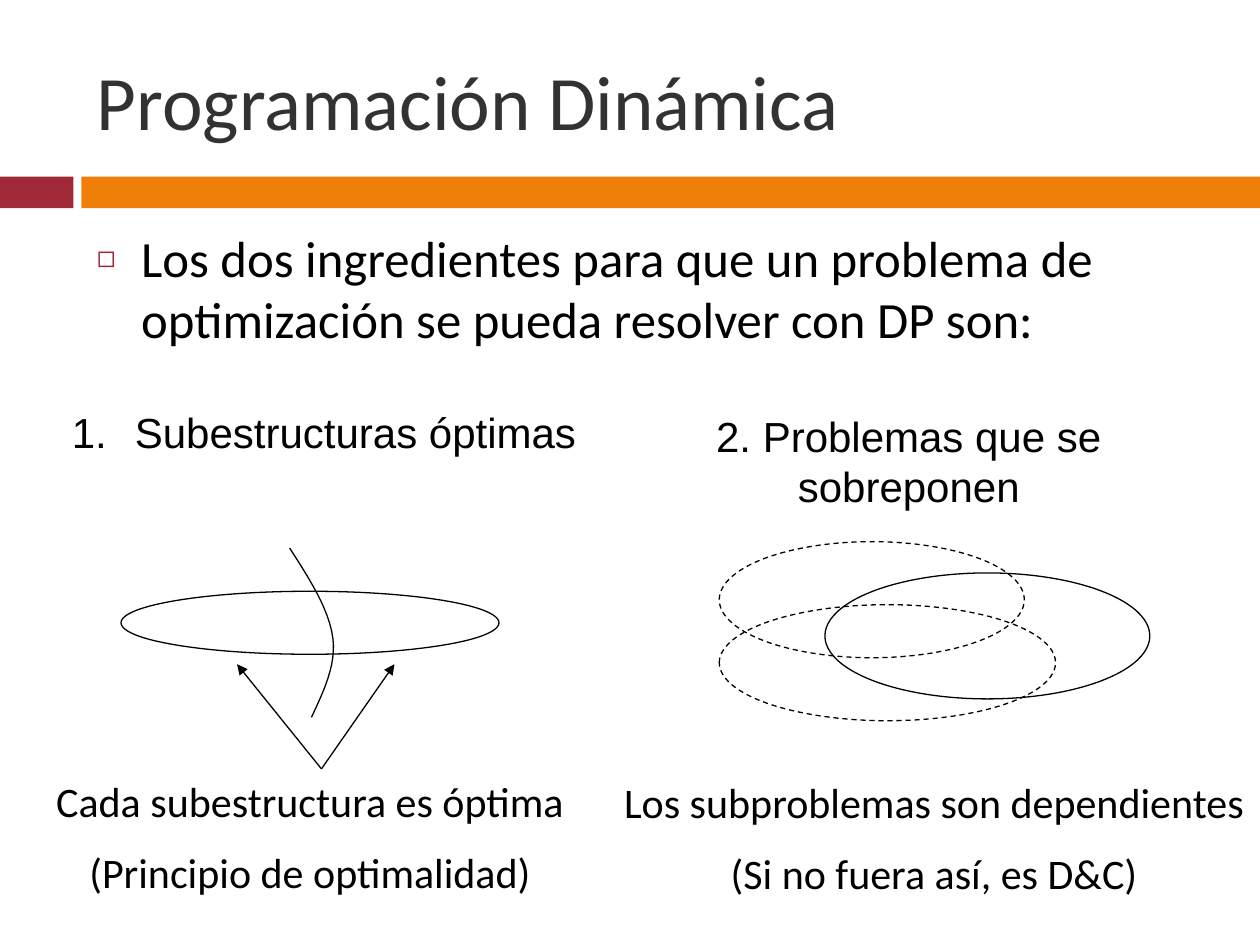
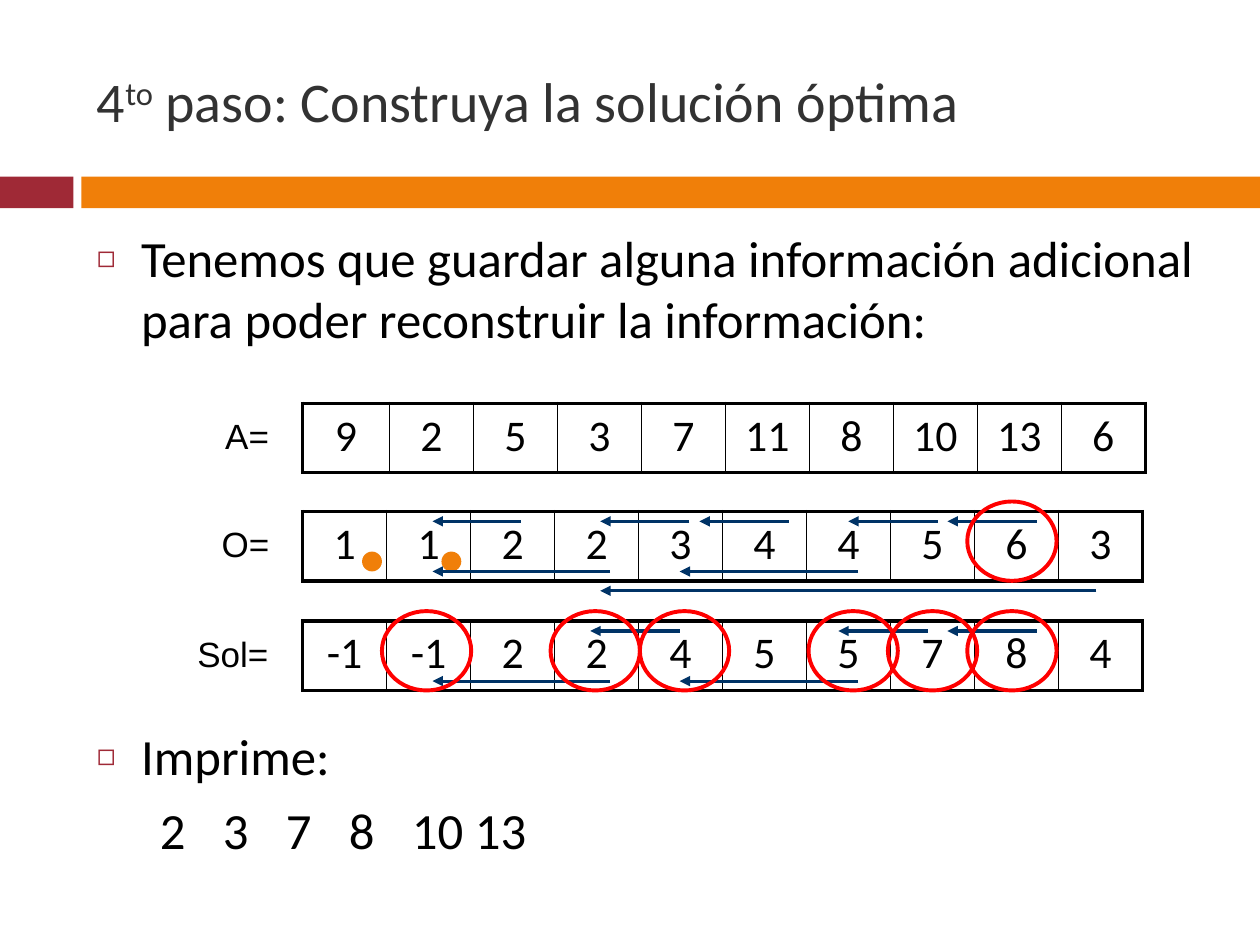
from lxml import etree
from pptx import Presentation
from pptx.dml.color import RGBColor
from pptx.enum.dml import MSO_LINE
from pptx.enum.shapes import MSO_CONNECTOR, MSO_SHAPE
from pptx.enum.text import MSO_ANCHOR, MSO_AUTO_SIZE, PP_ALIGN
from pptx.oxml.ns import qn
from pptx.util import Cm, Pt

BLACK, GREY, WHITE = "000000", "323232", "FFFFFF"
MAROON, ORANGE, NAVY, RED = "9F2936", "F07F09", "003366", "FF0000"
BODY_FONT, LABEL_FONT = "Calibri", "Arial"
SLIDE_W, SLIDE_H = 25.4, 19.05
TITLE_BOX = (1.7, 0.64, 22.66, 2.74)
BODY_BOX = (1.7, 4.45, 22.66, 12.5)
BANDS = [((0, 3.56, 1.48, 0.64), MAROON), ((1.64, 3.56, 23.76, 0.64), ORANGE)]
BULLET_INDENT = 0.89
OUTER, INNER = 2.25, 1


def rgb(color):
    return RGBColor.from_string(color)


def cms(*values):
    return [Cm(v) for v in values]


def sub(parent, tag, **attrs):
    """Append a DrawingML element to parent."""
    return etree.SubElement(parent, qn(tag), {k: str(v) for k, v in attrs.items()})


def format_text(p, size, font=BODY_FONT, color=BLACK, align=None, before=None):
    p.alignment = align
    if before is not None:
        p.space_before = Pt(before)
    for r in p.runs:
        r.font.size, r.font.name = Pt(size), font
        r.font.color.rgb = rgb(color)


def set_indent(p, left, first):
    pPr = p._p.get_or_add_pPr()
    pPr.set("marL", str(Cm(left)))
    pPr.set("indent", str(Cm(first)))
    return pPr


def add_square_bullet(p):
    pPr = set_indent(p, BULLET_INDENT, -BULLET_INDENT)
    sub(sub(pPr, "a:buClr"), "a:srgbClr", val=MAROON)
    sub(pPr, "a:buSzPct", val=60000)
    sub(pPr, "a:buChar", char="◻")


def add_number(p, indent):
    pPr = set_indent(p, indent, -indent)
    sub(pPr, "a:buFont", typeface=LABEL_FONT)
    sub(pPr, "a:buAutoNum", type="arabicPeriod")


def add_tabs(p, stops):
    """Lay the paragraph out on left tab stops, without a bullet."""
    pPr = set_indent(p, 0, 0)
    sub(pPr, "a:buNone")
    tabs = sub(pPr, "a:tabLst")
    for stop in stops:
        sub(tabs, "a:tab", pos=Cm(stop), algn="l")


def add_text(s, box, paragraphs, size, font=BODY_FONT, align=None, wrap=True):
    tf = s.shapes.add_textbox(*cms(*box)).text_frame
    tf.word_wrap = wrap
    tf.text = "\n".join(paragraphs)
    for p in tf.paragraphs:
        format_text(p, size, font, align=align, before=size / 2)
    return tf


def style_shape(sp, fill=None, line=None, width=0.75, dash=False):
    sp.shadow.inherit = False
    if fill:
        sp.fill.solid()
        sp.fill.fore_color.rgb = rgb(fill)
    else:
        sp.fill.background()
    if line:
        sp.line.color.rgb = rgb(line)
        sp.line.width = Pt(width)
        if dash:
            sp.line.dash_style = MSO_LINE.DASH
    else:
        sp.line.fill.background()


def add_ellipse(s, box, **style):
    style_shape(s.shapes.add_shape(MSO_SHAPE.OVAL, *cms(*box)), **style)


def add_arrow(s, start, end, color=BLACK, width=0.75):
    line = s.shapes.add_connector(MSO_CONNECTOR.STRAIGHT, *cms(*start, *end))
    line.line.color.rgb = rgb(color)
    line.line.width = Pt(width)
    spPr = line.element.spPr
    sub(spPr.find(qn("a:ln")), "a:tailEnd", type="triangle")
    sub(spPr, "a:effectLst")


def bezier(points, steps=12):
    """Return points along one cubic curve, leaving out its start."""
    result = []
    for i in range(1, steps + 1):
        t = i / steps
        weights = ((1 - t) ** 3, 3 * t * (1 - t) ** 2, 3 * t * t * (1 - t), t ** 3)
        result.append(tuple(sum(w * pt[axis] for w, pt in zip(weights, points))
                            for axis in (0, 1)))
    return result


def add_curve(s, points):
    """Draw an open outline through joined cubic curves."""
    builder = s.shapes.build_freeform(*cms(*points[0]))
    for i in range(0, len(points) - 1, 3):
        builder.add_line_segments(
            [cms(*pt) for pt in bezier(points[i:i + 4])], close=False)
    style_shape(builder.convert_to_shape(), line=BLACK)


def place(sp, box):
    sp.left, sp.top, sp.width, sp.height = cms(*box)


def set_up_layout(prs):
    """Place the shared title and body; return the layout."""
    layout = prs.slide_layouts[1]
    for ph, box in zip(layout.placeholders, (TITLE_BOX, BODY_BOX)):
        place(ph, box)
    return layout


def add_bands(s):
    for box, color in BANDS:
        style_shape(s.shapes.add_shape(MSO_SHAPE.RECTANGLE, *cms(*box)), fill=color)


def add_content_slide(prs, layout, title_runs, title_size, body):
    """Add a slide with bands, title and body; return it with its body frame."""
    s = prs.slides.add_slide(layout)
    s.background.fill.solid()
    s.background.fill.fore_color.rgb = rgb(WHITE)
    add_bands(s)
    tf = s.shapes.title.text_frame
    tf.auto_size, tf.vertical_anchor = MSO_AUTO_SIZE.NONE, MSO_ANCHOR.MIDDLE
    p = tf.paragraphs[0]
    for text in title_runs:
        p.add_run().text = text
    format_text(p, title_size, color=GREY, align=PP_ALIGN.LEFT)
    tf = s.placeholders[1].text_frame
    tf.auto_size, tf.vertical_anchor = MSO_AUTO_SIZE.NONE, MSO_ANCHOR.TOP
    tf.text = "\n".join(body)
    for p in tf.paragraphs:
        format_text(p, 29, align=PP_ALIGN.LEFT, before=7)
    return s, tf


def add_substructure_panel(s, x, y):
    heading = add_text(s, (x + 0.69, y, 11.4, 1.3), ["Subestructuras óptimas"],
                       24, LABEL_FONT)
    add_number(heading.paragraphs[0], 1.27)
    add_ellipse(s, (x + 1.93, y + 3.84, 7.62, 1.27), line=BLACK)
    cut = [(5.33, 2.97), (5.72, 3.58), (6.12, 4.19), (6.2, 4.78),
           (6.27, 5.33), (6.02, 5.84), (5.77, 6.38)]
    add_curve(s, [(x + dx, y + dy) for dx, dy in cut])
    for tip in (4.27, 7.44):
        add_arrow(s, (x + 5.97, y + 7.42), (x + tip, y + 5.31))
    add_text(s, (x, y + 7.42, 11.48, 2.82),
             ["Cada subestructura es óptima", "(Principio de optimalidad)"],
             24, align=PP_ALIGN.CENTER)


def add_overlap_panel(s, x, y):
    add_text(s, (x + 0.53, y, 11, 2.31), ["2. Problemas que se sobreponen"],
             24, LABEL_FONT, PP_ALIGN.CENTER)
    for dx, dy, w, h, dash in [(2.21, 2.77, 6.15, 2.34, True),
                               (4.34, 3.4, 6.55, 2.54, False),
                               (2.21, 4.04, 6.78, 2.34, True)]:
        add_ellipse(s, (x + dx, y + dy, w, h), line=BLACK, dash=dash)
    add_text(s, (x, y + 7.37, 13.08, 2.82),
             ["Los subproblemas son dependientes", "(Si no fuera así, es D&C)"],
             24, align=PP_ALIGN.CENTER)


def set_borders(cell, **widths):
    """Draw the sides L, R, T, B of a cell, given in that order."""
    tcPr = cell._tc.get_or_add_tcPr()
    for i, (side, width) in enumerate(widths.items()):
        ln = etree.Element(qn(f"a:ln{side}"), w=str(Pt(width)))
        sub(sub(ln, "a:solidFill"), "a:srgbClr", val=BLACK)
        tcPr.insert(i, ln)


def add_array(s, x, y, label, label_w, values, first_w=None):
    """Draw a labelled one-row array whose table starts at x, y."""
    n = len(values)
    table = s.shapes.add_table(1, n, *cms(x, y, 16.93, 1.4)).table
    table.first_row = table.horz_banding = False
    if first_w:
        table.columns[0].width = Cm(first_w)
    for i, value in enumerate(values):
        cell = table.cell(0, i)
        cell.fill.background()
        cell.text = str(value)
        format_text(cell.text_frame.paragraphs[0], 25, align=PP_ALIGN.CENTER, before=7)
        set_borders(cell, L=INNER if i else OUTER, R=INNER if i < n - 1 else OUTER,
                    T=OUTER, B=OUTER)
    add_text(s, (x - 0.41 - label_w, y + 0.1, label_w, 1.09), [label],
             20, LABEL_FONT, wrap=False)


def add_links(s, x, y, links, circles):
    """Draw back-pointing arrows and solution circles over an array at x, y."""
    for start, end, dy in links:
        add_arrow(s, (x + start, y + dy), (x + end, y + dy), NAVY, 1.75)
    for dx in circles:
        add_ellipse(s, (x + dx, y - 0.2, 1.8, 1.6), line=RED, width=2.25)


def build_ingredients_slide(prs, layout):
    s, tf = add_content_slide(
        prs, layout, ["Programación Dinámica"], 44,
        ["Los dos ingredientes para que un problema de optimización "
         "se pueda resolver con DP son:"])
    add_square_bullet(tf.paragraphs[0])
    add_substructure_panel(s, 0.51, 8.08)
    add_overlap_panel(s, 12.29, 8.15)


def build_solution_slide(prs, layout):
    answer = [2, 3, 7, 8, 10, 13]
    s, tf = add_content_slide(
        prs, layout, ["4", "to", " paso: Construya la solución óptima"], 32,
        ["Tenemos que guardar alguna información adicional para poder "
         "reconstruir la información:",
         "Imprime:", "".join(f"\t{n}" for n in answer)])
    ordinal = s.shapes.title.text_frame.paragraphs[0].runs[1]
    ordinal._r.get_or_add_rPr().set("baseline", "30000")
    intro, prints, numbers = tf.paragraphs
    prints.space_before = Pt(215)
    add_square_bullet(intro)
    add_square_bullet(prints)
    add_tabs(numbers, (7.38, 8.61, 9.82, 11.0, 12.26, 13.74))

    x, a_y, o_y, sol_y = 6.1, 8.13, 10.31, 12.52
    high, low, below = 0.2, 1.21, 1.6
    add_array(s, x, a_y, "A=", 1.4, [9, 2, 5, 3, 7, 11, 8, 10, 13, 6], first_w=1.75)
    add_array(s, x, o_y, "O=", 1.47, [1, 1, 2, 2, 3, 4, 4, 5, 6, 3])
    for dx in (1.2, 2.8):
        add_ellipse(s, (x + dx, o_y + 0.81, 0.4, 0.4), fill=ORANGE)
    add_links(s, x, o_y,
              [(4.4, 2.62, high), (6.2, 2.62, low), (7.8, 6, high),
               (9.8, 8, high), (11.2, 7.6, low), (12.8, 11, high),
               (14.8, 13, high), (16, 6, below)], [13.4])
    add_array(s, x, sol_y, "Sol=", 1.96, [-1, -1, 2, 2, 4, 5, 5, 7, 8, 4])
    add_links(s, x, sol_y,
              [(14.8, 13, high), (12.6, 10.8, high), (11.2, 7.6, low),
               (7.6, 5.8, high), (6.2, 2.62, low)],
              [13.4, 11.8, 10.2, 6.8, 5, 1.6])


def main():
    prs = Presentation()
    prs.slide_width, prs.slide_height = cms(SLIDE_W, SLIDE_H)
    layout = set_up_layout(prs)
    build_ingredients_slide(prs, layout)
    build_solution_slide(prs, layout)
    prs.save("out.pptx")


if __name__ == "__main__":
    main()
